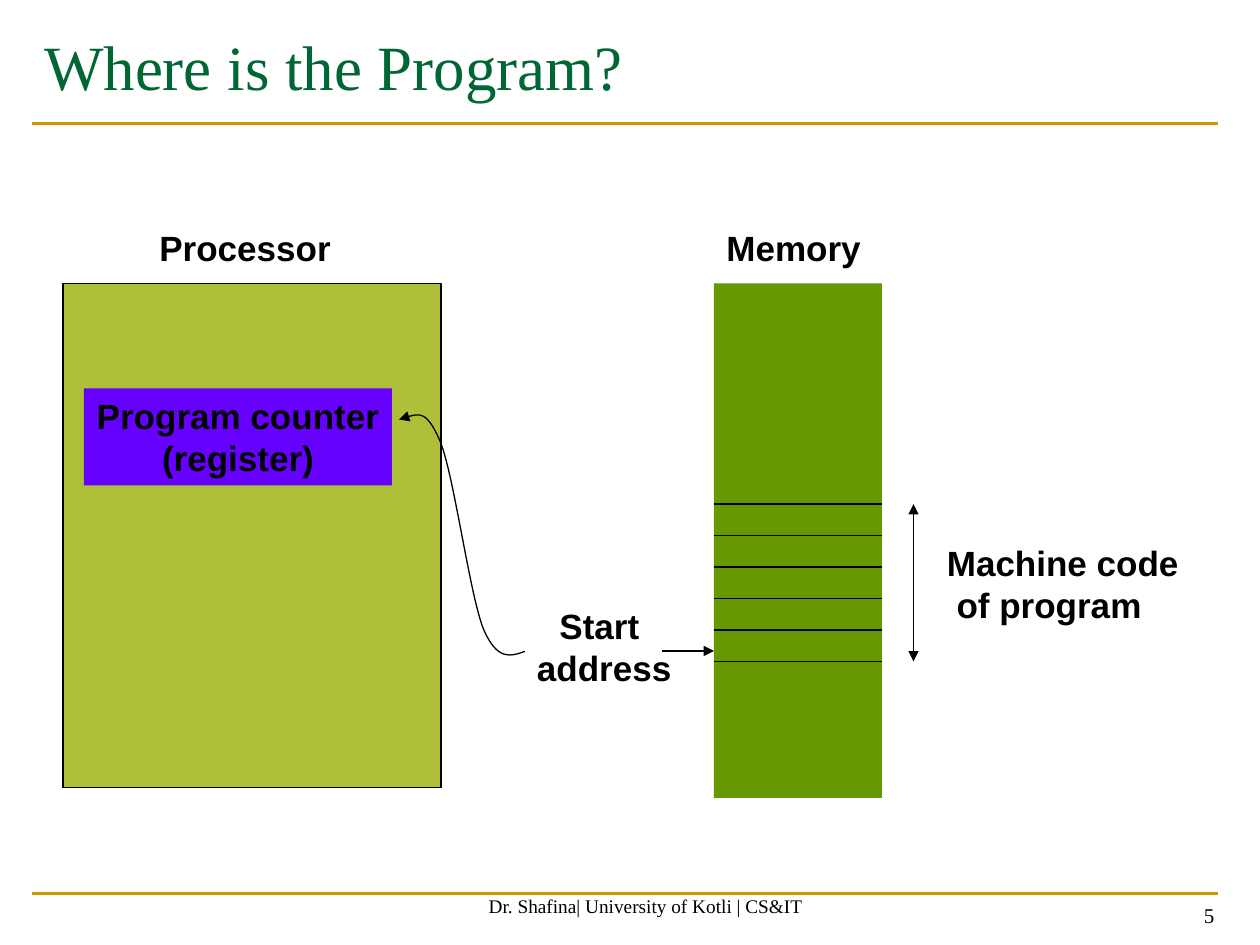
from dataclasses import dataclass

import pptx
import pptx.dml.color
import pptx.enum.shapes
import pptx.enum.text
import pptx.oxml
import pptx.oxml.ns
import pptx.util

Pt = pptx.util.Pt
ALIGN = pptx.enum.text.PP_ALIGN
ANCHOR = pptx.enum.text.MSO_ANCHOR
LABEL_HEIGHT = 31
DOUBLE_LABEL_HEIGHT = 55.44


@dataclass(frozen=True)
class Theme:
    serif: str = "Times New Roman"
    sans: str = "Arial"
    title: str = "006633"
    ink: str = "000000"
    rule: str = "CC9900"
    processor: str = "AFBF39"
    memory: str = "669900"
    register: str = "6600FF"
    title_size: float = 36
    label_size: float = 20
    footer_size: float = 11
    number_size: float = 12
    rule_width: float = 1.5
    line_width: float = 0.75


THEME = Theme()


def rgb(color):
    return pptx.dml.color.RGBColor.from_string(color)


def write(shape, lines, size, face, color=THEME.ink, bold=False,
          align=ALIGN.LEFT, anchor=ANCHOR.TOP, wrap=False):
    frame = shape.text_frame
    frame.text = "\n".join(lines)
    frame.word_wrap = wrap
    if not wrap:
        frame.auto_size = pptx.enum.text.MSO_AUTO_SIZE.SHAPE_TO_FIT_TEXT
    frame.vertical_anchor = anchor
    for paragraph in frame.paragraphs:
        paragraph.alignment = align
        paragraph.font.size = Pt(size)
        paragraph.font.name = face
        paragraph.font.bold = bold
        paragraph.font.color.rgb = rgb(color)


def add_text(slide, box, lines, size, face, **style):
    write(slide.shapes.add_textbox(*map(Pt, box)), lines, size, face, **style)


def add_label(slide, box, lines, **style):
    add_text(slide, box, lines, THEME.label_size, THEME.sans, bold=True, **style)


def add_block(slide, box, fill, outlined=False):
    block = slide.shapes.add_shape(
        pptx.enum.shapes.MSO_SHAPE.RECTANGLE, *map(Pt, box))
    block.shadow.inherit = False
    block.fill.solid()
    block.fill.fore_color.rgb = rgb(fill)
    if outlined:
        block.line.color.rgb = rgb(THEME.ink)
        block.line.width = Pt(THEME.line_width)
    else:
        block.line.fill.background()
    return block


def style_line(shape, color, width, ends=()):
    """Colour a line and put triangles on the given ends, headEnd before tailEnd."""
    shape.line.color.rgb = rgb(color)
    shape.line.width = Pt(width)
    for end in ends:
        arrow = pptx.oxml.parse_xml(
            f'<a:{end} {pptx.oxml.ns.nsdecls("a")} type="triangle"/>')
        shape.line._get_or_add_ln().append(arrow)


def add_line(slide, start, end, color=THEME.ink, width=THEME.line_width, ends=()):
    line = slide.shapes.add_connector(
        pptx.enum.shapes.MSO_CONNECTOR.STRAIGHT, *map(Pt, start + end))
    style_line(line, color, width, ends)
    line._element.spPr.append(
        pptx.oxml.parse_xml(f'<a:effectLst {pptx.oxml.ns.nsdecls("a")}/>'))


def add_curve(slide, box, controls):
    """Draw cubic curves through control points given as fractions of the box."""
    left, top, width, height = box
    points = [(Pt(left + x * width), Pt(top + y * height)) for x, y in controls]
    builder = slide.shapes.build_freeform(*points[0])
    builder.add_line_segments(points[1:], close=False)
    curve = builder.convert_to_shape()
    curve.shadow.inherit = False
    curve.fill.background()
    style_line(curve, THEME.ink, THEME.line_width, ["tailEnd"])

    # Gather every three straight segments into one cubic segment
    segments = curve._element.xpath(".//a:lnTo")
    for i in range(0, len(segments), 3):
        cubic = pptx.oxml.parse_xml(
            f'<a:cubicBezTo {pptx.oxml.ns.nsdecls("a")}/>')
        segments[i].addprevious(cubic)
        for segment in segments[i:i + 3]:
            cubic.append(segment[0])
            segment.getparent().remove(segment)


def draw_header(slide, box):
    left, top, width, height = box
    title = slide.shapes.title
    title.left, title.top, title.width, title.height = map(Pt, box)
    write(title, ["Where is the Program?"], THEME.title_size, THEME.serif,
          color=THEME.title, wrap=True)
    add_line(slide, (left, top + 58.5), (left + width, top + 58.5),
             THEME.rule, THEME.rule_width)


def draw_footer(slide, box):
    left, top, width, height = box
    add_line(slide, (left, top), (left + width, top), THEME.rule, THEME.rule_width)
    add_text(slide, (left + 228, top - 18.5, 246, 36),
             ["Dr. Shafina| University of Kotli | CS&IT"],
             THEME.footer_size, THEME.serif,
             align=ALIGN.CENTER, anchor=ANCHOR.BOTTOM, wrap=True)
    add_text(slide, (left + width - 163, top - 13, 168, 36), ["5"],
             THEME.number_size, THEME.serif,
             align=ALIGN.RIGHT, anchor=ANCHOR.BOTTOM, wrap=True)


def draw_processor(slide, box):
    left, top, width, height = box
    add_block(slide, box, THEME.processor, outlined=True)
    add_label(slide, (left + 48, top - 36, 114, LABEL_HEIGHT), ["Processor"])
    counter = add_block(
        slide, (left + 12, top + 60, 176, DOUBLE_LABEL_HEIGHT), THEME.register)
    write(counter, ["Program counter", "(register)"], THEME.label_size, THEME.sans,
          bold=True, align=ALIGN.CENTER)


def draw_memory(slide, box):
    left, top, width, height = box
    right = left + width
    add_block(slide, box, THEME.memory)
    add_label(slide, (left, top - 36, 92, LABEL_HEIGHT), ["Memory"])

    # Memory cells that hold the program
    code_top, cell, cells = top + 126, 18, 5
    for i in range(cells + 1):
        y = code_top + i * cell
        add_line(slide, (left, y), (right, y))
    add_line(slide, (right + 18, code_top), (right + 18, code_top + cells * cell),
             ends=["headEnd", "tailEnd"])
    add_label(slide, (right + 30, code_top + cell, 147, DOUBLE_LABEL_HEIGHT),
              ["Machine code", " of program"])


def draw_start_address(slide, box):
    left, top, width, height = box
    add_label(slide, box, ["Start", " address"], align=ALIGN.CENTER)
    add_line(slide, (left + 85, top + 30), (left + 115, top + 30), ends=["tailEnd"])
    # Curve back to the program counter
    add_curve(slide, (left - 65, top - 108, 72, 144), [
        (1, 0.96), (0.89, 0.98), (0.78, 1), (0.67, 0.87), (0.56, 0.73),
        (0.44, 0.27), (0.33, 0.13), (0.22, 0), (0.11, 0.02), (0, 0.04)])


def main():
    deck = pptx.Presentation()
    deck.slide_width, deck.slide_height = Pt(720), Pt(540)
    slide = deck.slides.add_slide(deck.slide_layouts[5])
    draw_header(slide, (18, 12, 678, 84))
    draw_footer(slide, (18, 510.5, 678, 29.5))
    draw_processor(slide, (36, 162, 216, 288))
    draw_memory(slide, (408, 162, 96, 294))
    draw_start_address(slide, (293, 342, 99, DOUBLE_LABEL_HEIGHT))
    deck.save("out.pptx")


if __name__ == "__main__":
    main()
